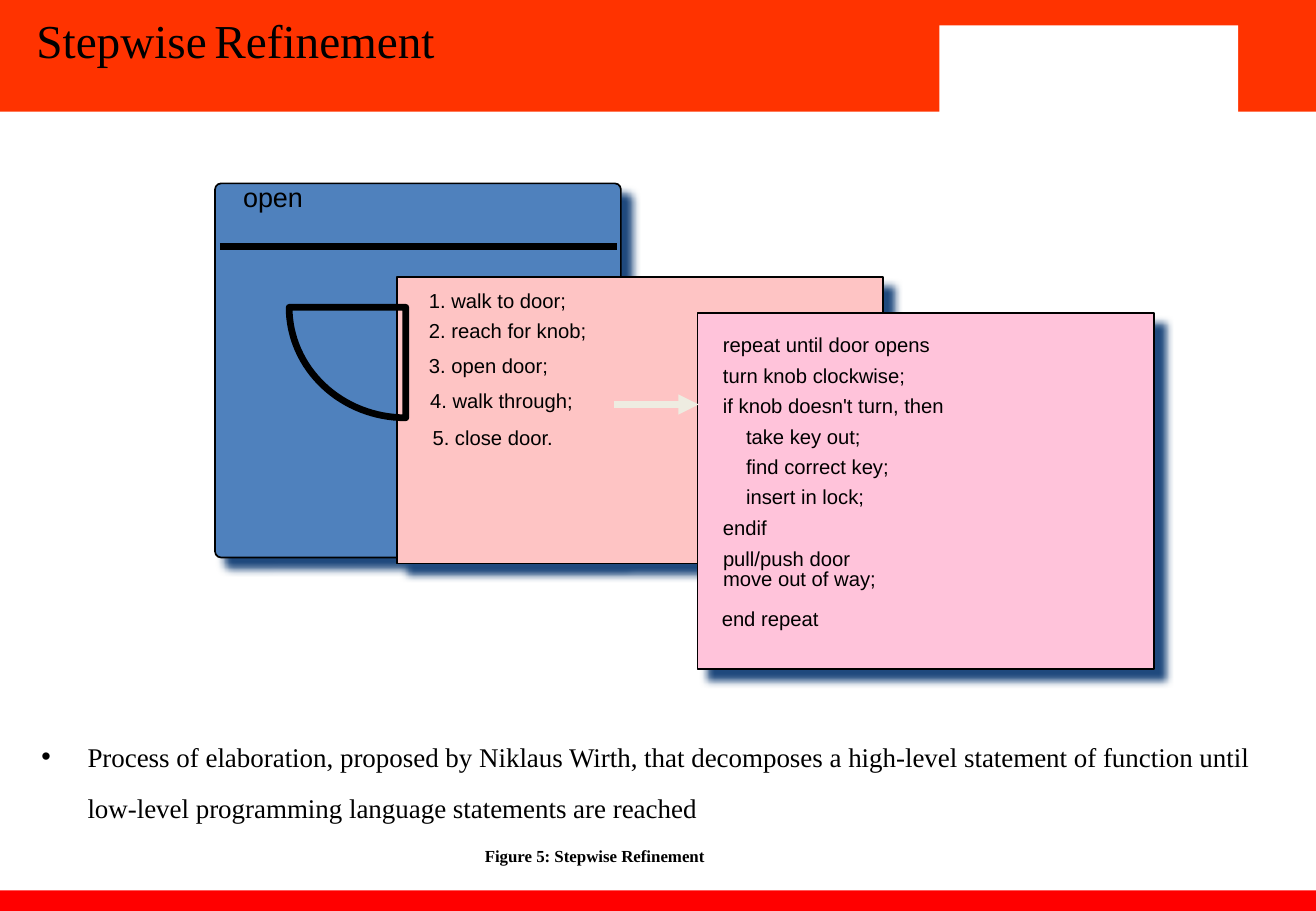
import math
from dataclasses import dataclass

import pptx
import pptx.dml.color
import pptx.enum.shapes
import pptx.enum.text
import pptx.oxml
import pptx.oxml.ns
import pptx.util
from pptx.util import Inches


@dataclass(frozen=True)
class Theme:
    ink: str = "000000"
    paper: str = "FFFFFF"
    banner: str = "FF3300"
    footer: str = "FF0000"
    door: str = "4F81BD"
    steps: str = "FEC4C4"
    detail: str = "FFC3DA"
    arrow: str = "EEECE1"
    shadow: str = "1F497D"
    serif: str = "Times New Roman"
    sans: str = "Arial"
    title: int = 28
    gap: int = 18
    body: int = 16
    code: int = 12
    caption: int = 10


theme = Theme()
rgb = pptx.dml.color.RGBColor.from_string
qn = pptx.oxml.ns.qn
SHAPE = pptx.enum.shapes.MSO_SHAPE
ANCHOR = pptx.enum.text.MSO_ANCHOR
LEFT = pptx.enum.text.PP_ALIGN.LEFT
NS = pptx.oxml.ns.nsdecls("a")

deck = pptx.Presentation()
deck.slide_width, deck.slide_height = Inches(10.83), Inches(7.5)
slide = deck.slides.add_slide(deck.slide_layouts[1])
shapes = slide.shapes


def style(paragraph, size, font, bold=False):
    for run in paragraph.runs:
        run.font.size = pptx.util.Pt(size)
        run.font.name = font
        run.font.bold = bold
        run.font.color.rgb = rgb(theme.ink)


def label(text, left, top, width, height, size=theme.code, font=theme.sans, bold=False):
    box = shapes.add_textbox(Inches(left), Inches(top), Inches(width), Inches(height))
    frame = box.text_frame
    frame.word_wrap = True
    frame.margin_left = frame.margin_right = Inches(0.11)
    frame.text = text
    for paragraph in frame.paragraphs:
        style(paragraph, size, font, bold)
    return frame


title = shapes.title
title.left, title.top, title.width, title.height = map(Inches, (0.22, 0.11, 4.61, 0.49))
heading = title.text_frame
heading.auto_size = pptx.enum.text.MSO_AUTO_SIZE.NONE
heading.vertical_anchor = ANCHOR.MIDDLE
heading.margin_left = heading.margin_right = Inches(0.08)
heading.margin_top = heading.margin_bottom = Inches(0.03)
heading_line = heading.paragraphs[0]
heading_line.alignment = LEFT
heading_line.line_spacing = 0.9
for word in ("Stepwise", " ", "Refinement"):
    heading_line.add_run().text = word
style(heading_line, theme.title, theme.serif)
heading_line.runs[1].font.size = pptx.util.Pt(theme.gap)

for left, top, width, height, color in (
    (0, 0, 10.83, 0.92, theme.banner),
    (7.73, 0.21, 2.46, 0.75, theme.paper),
    (0, 7.33, 10.83, 0.17, theme.footer),
):
    band = shapes.add_shape(SHAPE.RECTANGLE, Inches(left), Inches(top), Inches(width), Inches(height))
    band.shadow.inherit = False
    band.fill.solid()
    band.fill.fore_color.rgb = rgb(color)
    band.line.fill.background()
    title._element.addprevious(band._element)

definition = shapes.placeholders[1]
definition.left, definition.top, definition.width, definition.height = map(Inches, (0.22, 5.94, 10.07, 0.85))
definition_frame = definition.text_frame
definition_frame.auto_size = pptx.enum.text.MSO_AUTO_SIZE.NONE
definition_frame.vertical_anchor = ANCHOR.TOP
definition_frame.margin_left = definition_frame.margin_right = 0
definition_frame.margin_top = definition_frame.margin_bottom = 0
definition_frame.text = (
    "Process of elaboration, proposed by Niklaus Wirth, that decomposes a high-level "
    "statement of function until low-level programming language statements are reached"
)
definition_line = definition_frame.paragraphs[0]
definition_line.line_spacing = 1.58
definition_line.space_before = pptx.util.Pt(0)
style(definition_line, theme.body, theme.serif)
definition_format = definition_line._p.get_or_add_pPr()
definition_format.set("marL", str(Inches(0.5)))
definition_format.set("indent", str(Inches(-0.38)))
definition_format.append(pptx.oxml.parse_xml(f'<a:buChar {NS} char="•"/>'))

for kind, left, top, width, height, color in (
    (SHAPE.ROUNDED_RECTANGLE, 1.77, 1.51, 3.34, 3.08, theme.door),
    (SHAPE.RECTANGLE, 3.27, 2.28, 4, 2.36, theme.steps),
    (SHAPE.RECTANGLE, 5.74, 2.58, 3.76, 2.93, theme.detail),
):
    card = shapes.add_shape(kind, Inches(left), Inches(top), Inches(width), Inches(height))
    if kind == SHAPE.ROUNDED_RECTANGLE:
        card.adjustments[0] = 0.016
    card.fill.solid()
    card.fill.fore_color.rgb = rgb(color)
    card.line.color.rgb = rgb(theme.ink)
    card.line.width = pptx.util.Pt(1)
    card.shadow.inherit = False
    card._element.spPr.find(qn("a:effectLst")).append(pptx.oxml.parse_xml(
        f'<a:outerShdw {NS} blurRad="{pptx.util.Pt(5)}" dist="{pptx.util.Pt(8.5)}" dir="2700000" algn="tl">'
        f'<a:srgbClr val="{theme.shadow}"/></a:outerShdw>'))

label("open", 1.89, 1.44, 1.02, 0.38, theme.body)

for text, left, top in (
    ("1. walk to door;", 3.42, 2.32),
    ("2. reach for knob;", 3.42, 2.57),
    ("3. open door;", 3.42, 2.86),
    ("4. walk through;", 3.43, 3.15),
    ("5. close door.", 3.45, 3.45),
):
    label(text, left, top, 2.2, 0.31)

for row, (text, indent) in enumerate((
    ("repeat until door opens", 0),
    ("turn knob clockwise;", 0),
    ("if knob doesn't turn, then", 0),
    ("take key out;", 0.19),
    ("find correct key;", 0.19),
    ("insert in lock;", 0.19),
    ("endif", 0),
)):
    statement = label(text, 5.84, 2.69 + 0.25 * row, 3.06, 0.31)
    statement.paragraphs[0]._p.get_or_add_pPr().set("marL", str(Inches(indent)))

for paragraph in label("pull/push door\nmove out of way;", 5.84, 4.49, 2.32, 0.45).paragraphs:
    paragraph.line_spacing = 0.8
label("end repeat", 5.83, 4.94, 1.55, 0.31)

for start, end, y, color, pointed in (
    (1.81, 5.08, 2.03, theme.ink, False),
    (5.05, 5.75, 3.33, theme.arrow, True),
):
    rule = shapes.add_connector(
        pptx.enum.shapes.MSO_CONNECTOR.STRAIGHT, Inches(start), Inches(y), Inches(end), Inches(y))
    rule.line.color.rgb = rgb(color)
    rule.line.width = pptx.util.Pt(4)
    if pointed:
        rule.line._get_or_add_ln().append(pptx.oxml.parse_xml(f'<a:tailEnd {NS} type="triangle"/>'))
    rule._element.spPr.append(pptx.oxml.parse_xml(f"<a:effectLst {NS}/>"))

hinge_x, hinge_y, swing_x, swing_y, segments = 3.34, 2.53, 0.96, 0.91, 32
angles = [math.pi / 2 * step / segments for step in range(segments + 1)]
swing = [
    (Inches(hinge_x - swing_x * math.sin(angle)), Inches(hinge_y + swing_y * math.cos(angle)))
    for angle in angles
]
outline = shapes.build_freeform(Inches(hinge_x), Inches(hinge_y))
outline.add_line_segments(swing, close=True)
door_swing = outline.convert_to_shape()
door_swing.shadow.inherit = False
door_swing.fill.background()
door_swing.line.color.rgb = rgb(theme.ink)
door_swing.line.width = pptx.util.Pt(4)
door_swing.line._get_or_add_ln().append(pptx.oxml.parse_xml(f"<a:round {NS}/>"))

label("Figure 5: Stepwise Refinement", 3.88, 6.91, 2.77, 0.27, theme.caption, theme.serif, True)

deck.save("out.pptx")
